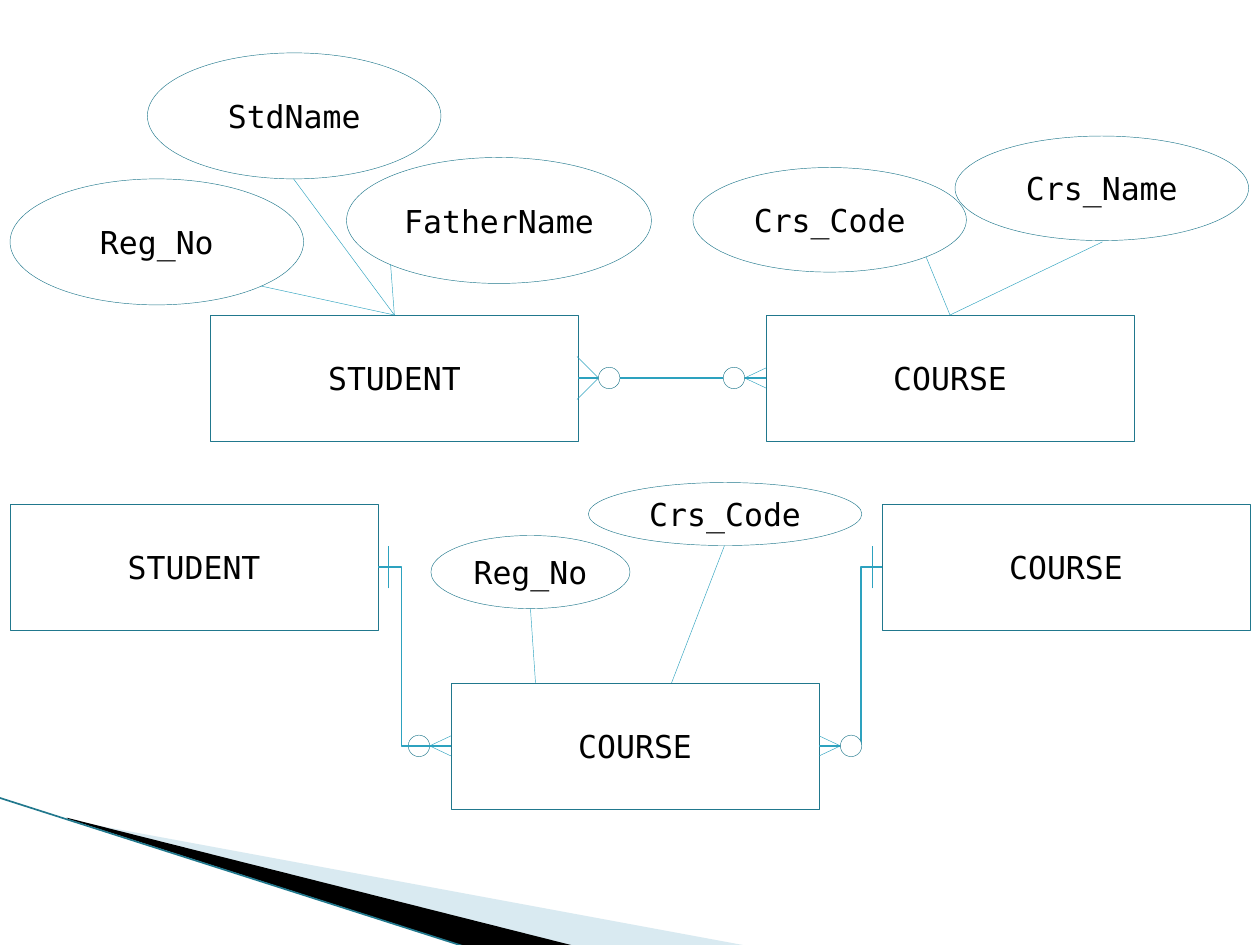
from lxml import etree
from pptx import Presentation
from pptx.dml.color import RGBColor
from pptx.enum import shapes, text
from pptx.oxml import ns
from pptx.util import Inches, Pt

WHITE = RGBColor(0xFF, 0xFF, 0xFF)
BLACK = RGBColor(0, 0, 0)
EDGE = RGBColor(0x21, 0x78, 0x8D)
LINK = RGBColor(0x2D, 0xA2, 0xBF)
PALE = RGBColor(0xA0, 0xCB, 0xDC)
TEAL = RGBColor(0x21, 0x78, 0x8D)
FONT = "DejaVu Sans Mono"
RECT = shapes.MSO_SHAPE.RECTANGLE
OVAL = shapes.MSO_SHAPE.OVAL
RING = shapes.MSO_SHAPE.FLOWCHART_CONNECTOR
DOT = 0.17  # ring diameter and depth of a crow's foot


def add_node(slide, kind, x, y, w, h, label=None):
    node = slide.shapes.add_shape(kind, Inches(x), Inches(y), Inches(w), Inches(h))
    node.shadow.inherit = False
    node.fill.solid()
    node.fill.fore_color.rgb = WHITE
    node.line.color.rgb = EDGE
    node.line.width = Pt(0.25)
    if label:
        frame = node.text_frame
        frame.margin_left = frame.margin_right = 0
        frame.vertical_anchor = text.MSO_ANCHOR.MIDDLE
        para = frame.paragraphs[0]
        para.text = label
        para.alignment = text.PP_ALIGN.CENTER
        para.font.size = Pt(18)
        para.font.name = FONT
        para.font.color.rgb = BLACK
    return node


def add_box(slide, x, y, label):
    return add_node(slide, RECT, x, y, 2.92, 1, label)


def add_line(slide, start, end, width=0.25, color=LINK, bend=None):
    kind = shapes.MSO_CONNECTOR.STRAIGHT if bend is None else shapes.MSO_CONNECTOR.ELBOW
    line = slide.shapes.add_connector(kind, *map(Inches, start + end))
    line.line.color.rgb = color
    line.line.width = Pt(width)
    props = line._element.spPr
    etree.SubElement(props, ns.qn("a:effectLst"))
    if bend is not None:
        geom = props.find(ns.qn("a:prstGeom"))
        guides = geom.find(ns.qn("a:avLst"))
        if guides is None:
            guides = etree.SubElement(geom, ns.qn("a:avLst"))
        etree.SubElement(guides, ns.qn("a:gd"), name="adj1",
                         fmla=f"val {round(bend * 100000)}")
    return line


def add_foot(slide, x, y, side, spread=0.08):
    """Crow's foot and ring at a box edge; side is 1 to the right, -1 to the left."""
    tip = x + side * DOT
    for dy in (spread, -spread):
        add_line(slide, (x, y + dy), (tip, y))
    left = tip if side > 0 else tip - DOT
    add_node(slide, RING, left, y - DOT / 2, DOT, DOT)


def draw_swoosh(slide, x, y):
    # Wedges in the lower left corner
    wedges = [
        (PALE, [(0.55, 0.18), (5.95, 1.18), (4.56, 1.18), (0.55, 0.17)]),
        (BLACK, [(0.53, 0.16), (4.57, 1.18), (3.72, 1.19), (0.54, 0.17)]),
    ]
    for color, points in wedges:
        first, *rest = [(Inches(x + px), Inches(y + py)) for px, py in points]
        pen = slide.shapes.build_freeform(*first)
        pen.add_line_segments(rest)
        wedge = pen.convert_to_shape()
        wedge.shadow.inherit = False
        wedge.fill.solid()
        wedge.fill.fore_color.rgb = color
        wedge.line.fill.background()
        if color == PALE:
            tint = wedge._element.spPr.find(".//" + ns.qn("a:srgbClr"))
            etree.SubElement(tint, ns.qn("a:alpha"), val="40000")
    add_line(slide, (x - 0.01, y), (x + 3.71, y + 1.19), 0.95, TEAL)


def draw_many(slide, x, y):
    # Entities with their attributes: label, place, size, end of the link
    groups = [
        ("STUDENT", 1.59, [
            ("Reg_No", 0, 1, 2.33, 1, (1.99, 1.85)),
            ("StdName", 1.09, 0, 2.33, 1, (2.25, 1)),
            ("FatherName", 2.67, 0.83, 2.42, 1, (3.02, 1.68))]),
        ("COURSE", 6, [
            ("Crs_Code", 5.42, 0.91, 2.17, 0.83, (7.27, 1.62)),
            ("Crs_Name", 7.5, 0.66, 2.33, 0.83, (8.67, 1.5))]),
    ]
    boxes = []
    for name, left, fields in groups:
        box = add_box(slide, x + left, y + 2.08, name)
        for label, fx, fy, w, h, _ in fields:
            add_node(slide, OVAL, x + fx, y + fy, w, h, label)
        for *_, (ex, ey) in fields:
            end = (x + ex, y + ey)
            add_line(slide, end, end).begin_connect(box, 0)
        boxes.append(box)

    # Many-to-many relation
    student, course = boxes
    mid = y + 2.58
    link = add_line(slide, (x + 6, mid), (x + 4.5, mid), 0.75)
    link.begin_connect(course, 1)
    link.end_connect(student, 3)
    add_foot(slide, x + 4.5, mid, 1, 0.17)
    add_foot(slide, x + 6, mid, -1)


def draw_split(slide, x, y):
    # Outer entities and the one between them
    add_box(slide, x, y + 0.17, "STUDENT")
    add_box(slide, x + 6.92, y + 0.17, "COURSE")
    add_box(slide, x + 3.5, y + 1.59, "COURSE")

    # One-to-many relations
    high, low = y + 0.67, y + 2.09
    add_line(slide, (x + 6.92, high), (x + 6.42, low), 0.75, bend=0.33)
    add_foot(slide, x + 6.42, low, 1)
    add_foot(slide, x + 3.5, low, -1)
    add_line(slide, (x + 2.92, high), (x + 3.5, low), 0.75, bend=0.32)
    for bar in (x + 3, x + 6.84):
        add_line(slide, (bar, high + 0.17), (bar, high - 0.17))

    # Key attributes
    add_node(slide, OVAL, x + 3.34, y + 0.42, 1.58, 0.58, "Reg_No")
    add_line(slide, (x + 4.17, y + 1.59), (x + 4.13, y + 1))
    add_node(slide, OVAL, x + 4.59, y, 2.17, 0.5, "Crs_Code")
    add_line(slide, (x + 5.25, y + 1.59), (x + 5.67, y + 0.5))


def main():
    deck = Presentation()
    deck.slide_width, deck.slide_height = Inches(10), Inches(7.5)
    slide = deck.slides.add_slide(deck.slide_layouts[6])
    draw_swoosh(slide, 0, 6.33)
    draw_many(slide, 0.08, 0.42)
    draw_split(slide, 0.08, 3.83)
    deck.save("out.pptx")


if __name__ == "__main__":
    main()
